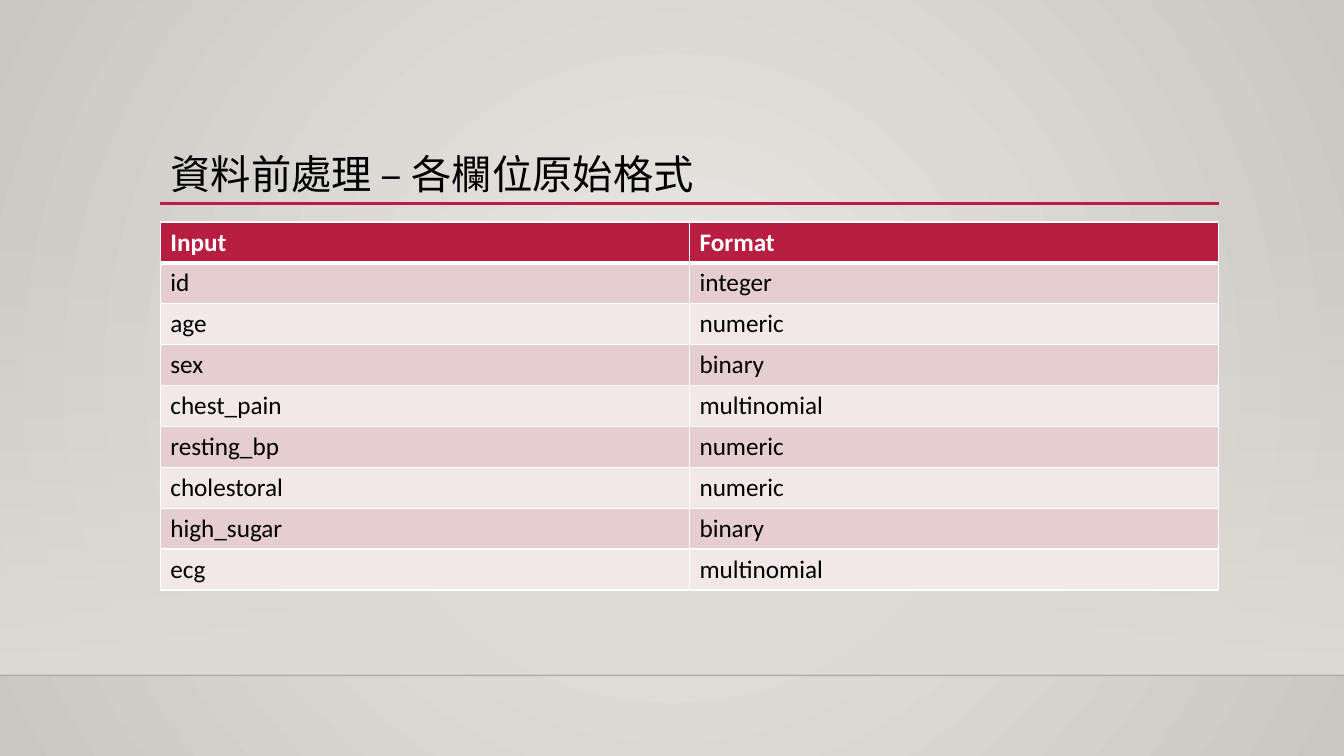
import pptx
import pptx.dml.color
import pptx.enum.shapes
import pptx.enum.text
import pptx.oxml
import pptx.oxml.ns
import pptx.util

Pt = pptx.util.Pt
RGBColor = pptx.dml.color.RGBColor
qn = pptx.oxml.ns.qn

CRIMSON = RGBColor(0xB7, 0x1E, 0x42)
WHITE = RGBColor(0xFF, 0xFF, 0xFF)
BLACK = RGBColor(0, 0, 0)
FLOOR_LINE = RGBColor(0, 0, 1)
FLOOR = RGBColor(0xDF, 0xDB, 0xD5)
WALL_LIGHT = RGBColor(0xEC, 0xEA, 0xE7)
WALL_DARK = RGBColor(0xCA, 0xC7, 0xC1)
BANDS = (RGBColor(0xF3, 0xE8, 0xE9), RGBColor(0xE6, 0xCD, 0xCF))

WIDTH, HEIGHT = Pt(960), Pt(540)
LEFT = Pt(114.5)
CONTENT_WIDTH = Pt(756)
FLOOR_TOP = Pt(482.4)
ROW_HEIGHT = Pt(29.2)

FIELDS = [
    ("Input", "Format"),
    ("id", "integer"),
    ("age", "numeric"),
    ("sex", "binary"),
    ("chest_pain", "multinomial"),
    ("resting_bp", "numeric"),
    ("cholestoral", "numeric"),
    ("high_sugar", "binary"),
    ("ecg", "multinomial"),
]


def drawing_xml(body):
    return pptx.oxml.parse_xml(body.replace(
        "<a:", f"<a:", 1).replace(" ", f" {pptx.oxml.ns.nsdecls('a')} ", 1))


def set_alpha(color_element, percent):
    color_element.append(drawing_xml(f'<a:alpha val="{percent * 1000}"/>'))


def set_gradient(fill, start, end):
    fill.gradient()
    for stop, color, position in zip(fill.gradient_stops, (start, end), (0, 1)):
        stop.color.rgb = color
        stop.position = position


def paint_background(slide):
    """Fill the background with a gradient that spreads from the centre."""
    set_gradient(slide.background.fill, WALL_LIGHT, WALL_DARK)
    gradient = slide.element.find(".//" + qn("a:gradFill"))
    gradient.replace(gradient.find(qn("a:lin")), drawing_xml(
        '<a:path path="circle">'
        '<a:fillToRect l="50000" t="50000" r="50000" b="50000"/></a:path>'))


def add_fading_band(slide, top, bottom):
    """Add a full-width band that is clear at its top."""
    band = slide.shapes.add_shape(
        pptx.enum.shapes.MSO_SHAPE.RECTANGLE, 0, top, WIDTH, bottom - top)
    band.shadow.inherit = False
    band.line.fill.background()
    set_gradient(band.fill, FLOOR, FLOOR)
    band.fill.gradient_angle = 270
    set_alpha(band.element.find(".//" + qn("a:srgbClr")), 0)


def add_rule(slide, left, right, y, color, weight):
    rule = slide.shapes.add_connector(
        pptx.enum.shapes.MSO_CONNECTOR.STRAIGHT, left, y, right, y)
    rule.line.color.rgb = color
    rule.line.width = Pt(weight)
    rule.element.spPr.append(drawing_xml("<a:effectLst />"))
    return rule


def set_title(slide, text):
    title = slide.shapes.title
    title.left, title.top = LEFT, Pt(106.5)
    title.width, title.height = CONTENT_WIDTH, Pt(39.6)
    frame = title.text_frame
    frame.text = text
    frame.auto_size = pptx.enum.text.MSO_AUTO_SIZE.NONE
    frame.vertical_anchor = pptx.enum.text.MSO_ANCHOR.MIDDLE
    paragraph = frame.paragraphs[0]
    paragraph.alignment = pptx.enum.text.PP_ALIGN.LEFT
    paragraph.line_spacing = 0.9
    font = paragraph.runs[0].font
    font.name = "Noto Sans CJK TC"
    font.size = Pt(28.8)
    font.color.rgb = BLACK
    paragraph.runs[0]._r.get_or_add_rPr().append(
        drawing_xml('<a:ea typeface="Noto Sans CJK TC"/>'))


def set_borders(cell, weights):
    """Draw white borders; weights are left, right, top and bottom."""
    properties = cell._tc.get_or_add_tcPr()
    for index, (side, weight) in enumerate(zip("LRTB", weights)):
        properties.insert(index, drawing_xml(
            f'<a:ln{side} w="{Pt(weight)}"><a:solidFill>'
            f'<a:srgbClr val="{WHITE}"/></a:solidFill></a:ln{side}>'))


def fill_cell(cell, text, row):
    is_header = row == 0
    cell.text = text
    cell.fill.solid()
    cell.fill.fore_color.rgb = CRIMSON if is_header else BANDS[row % 2]
    font = cell.text_frame.paragraphs[0].font
    font.name = "Calibri"
    font.size = Pt(18)
    font.bold = is_header
    font.color.rgb = WHITE if is_header else BLACK
    set_borders(cell, (1, 1, 3 if row == 1 else 1, 3 if is_header else 1))


def add_field_table(slide, fields):
    table = slide.shapes.add_table(
        len(fields), len(fields[0]), LEFT, Pt(158.6),
        CONTENT_WIDTH, ROW_HEIGHT * len(fields)).table
    for row, values in enumerate(fields):
        table.rows[row].height = ROW_HEIGHT
        for column, text in enumerate(values):
            fill_cell(table.cell(row, column), text, row)


def main():
    presentation = pptx.Presentation()
    presentation.slide_width, presentation.slide_height = WIDTH, HEIGHT
    slide = presentation.slides.add_slide(presentation.slide_layouts[5])
    paint_background(slide)
    add_fading_band(slide, Pt(159), FLOOR_TOP)
    floor_edge = add_rule(slide, 0, WIDTH, FLOOR_TOP, FLOOR_LINE, 1)
    set_alpha(floor_edge.element.find(".//" + qn("a:srgbClr")), 20)
    add_rule(slide, LEFT, LEFT + CONTENT_WIDTH, Pt(145.4), CRIMSON, 2.5)
    add_field_table(slide, FIELDS)
    set_title(slide, "資料前處理 – 各欄位原始格式")
    presentation.save("out.pptx")


if __name__ == "__main__":
    main()
